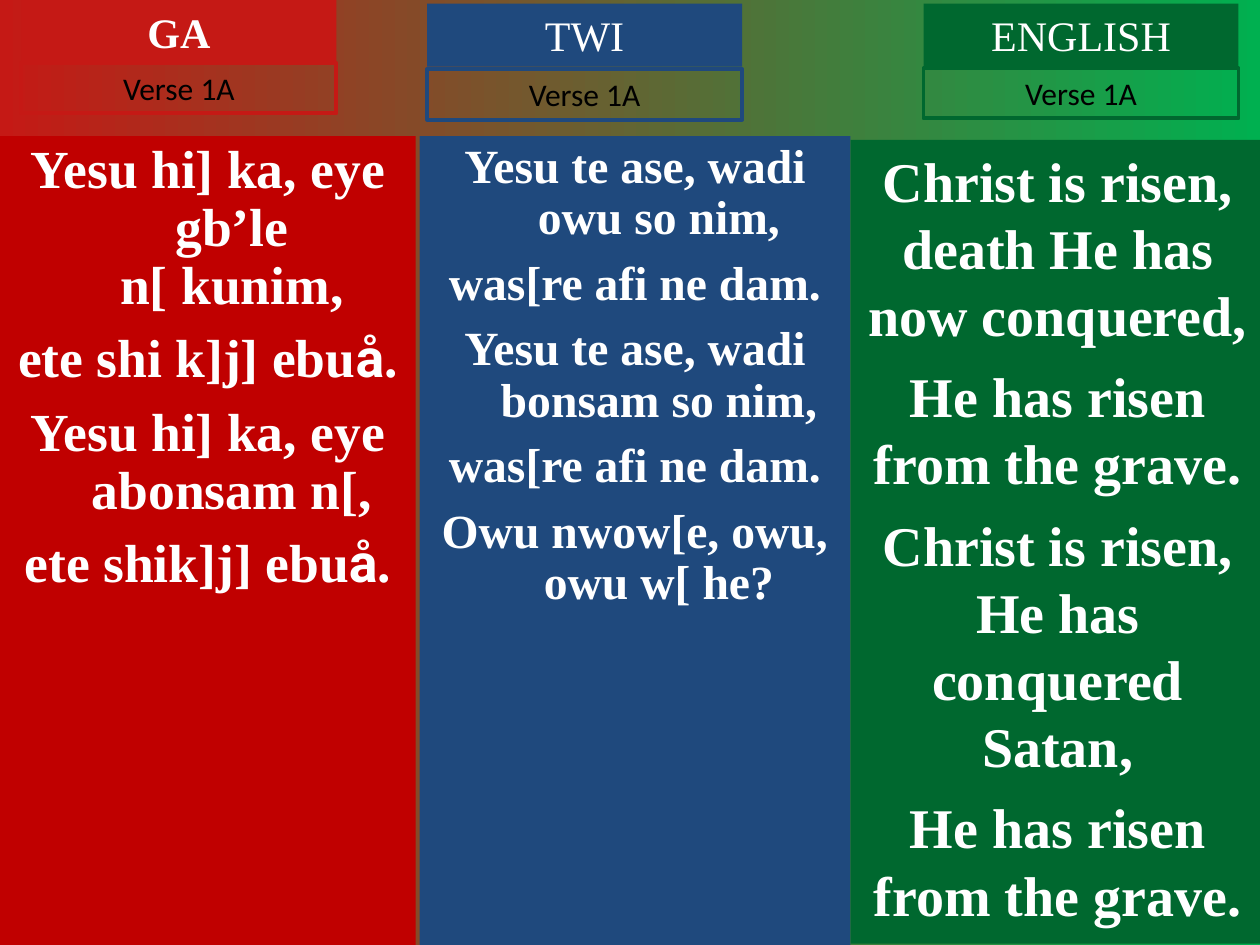
from dataclasses import dataclass

from pptx import Presentation
from pptx.dml.color import RGBColor
from pptx.enum.shapes import MSO_SHAPE
from pptx.enum.text import MSO_ANCHOR, MSO_AUTO_SIZE, PP_ALIGN
from pptx.util import Inches, Pt


@dataclass(frozen=True)
class Theme:
    bright_red: str = "C51915"
    bright_green: str = "00B050"
    red: str = "C00000"
    blue: str = "1F497D"
    green: str = "00682F"
    white: str = "FFFFFF"
    black: str = "000000"
    serif: str = "Times New Roman"
    sans: str = "Calibri"
    accent: str = "Roboto"
    heading_size: float = 24
    verse_size: float = 18
    ga_size: float = 30.6
    twi_size: float = 27.2
    english_size: float = 32


THEME = Theme()
LABEL_WIDTH = 2.5

GA_LINES = [
    ["Yesu hi] ka, eye gb’le n[ kunim,"],
    ["ete shi k]j] ebu", "å", "."],
    ["Yesu hi] ka, eye abonsam n[,"],
    ["ete shik]j] ebu", "å", "."],
]
TWI_LINES = [
    ["Yesu te ase, wadi owu so nim,"],
    ["was[re afi ne dam."],
    ["Yesu te ase, wadi bonsam so nim,"],
    ["was[re afi ne dam."],
    ["Owu nwow[e, owu, owu w[ he?"],
]
ENGLISH_LINES = [
    ["Christ is risen, death He has now conquered,"],
    ["He has risen from the grave."],
    ["Christ is risen, He has conquered Satan,"],
    ["He has risen from the grave."],
]


def color(value):
    return RGBColor.from_string(value)


def set_background(slide):
    fill = slide.background.fill
    fill.gradient()
    fill.gradient_angle = 0
    for stop, value, position in zip(
        fill.gradient_stops, (THEME.bright_red, THEME.bright_green), (0, 1)
    ):
        stop.color.rgb = color(value)
        stop.position = position


def add_box(slide, left, top, width, height, fill=None, line=None):
    shape = slide.shapes.add_shape(
        MSO_SHAPE.RECTANGLE, Inches(left), Inches(top), Inches(width), Inches(height)
    )
    shape.shadow.inherit = False
    if fill:
        shape.fill.solid()
        shape.fill.fore_color.rgb = color(fill)
    else:
        shape.fill.background()
    if line:
        shape.line.color.rgb = color(line)
        shape.line.width = Pt(2.25)
    else:
        shape.line.fill.background()
    shape.text_frame.word_wrap = True
    shape.text_frame.vertical_anchor = MSO_ANCHOR.TOP
    return shape


def add_run(paragraph, text, size, font_name, text_color, bold=False):
    run = paragraph.add_run()
    run.text = text
    run.font.size = Pt(size)
    run.font.name = font_name
    run.font.color.rgb = color(text_color)
    run.font.bold = bold


def add_label(slide, left, top, height, text, size, font_name, text_color,
              bold=False, fill=None, line=None):
    shape = add_box(slide, left, top, LABEL_WIDTH, height, fill, line)
    shape.text_frame.auto_size = MSO_AUTO_SIZE.SHAPE_TO_FIT_TEXT
    paragraph = shape.text_frame.paragraphs[0]
    paragraph.alignment = PP_ALIGN.CENTER
    add_run(paragraph, text, size, font_name, text_color, bold)


def add_header(slide, left, top, verse_top, language, label_color, bold=False):
    """Add a filled language name with an outlined verse label under it."""
    add_label(slide, left, top, 0.5, language, THEME.heading_size, THEME.serif,
              THEME.white, bold, fill=label_color)
    add_label(slide, left, verse_top, 0.4, "Verse 1A", THEME.verse_size, THEME.sans,
              THEME.black, line=label_color)


def add_lyrics(slide, bounds, fill, lines, size, space_before, hanging=False):
    frame = add_box(slide, *bounds, fill=fill).text_frame
    for index, pieces in enumerate(lines):
        paragraph = frame.add_paragraph() if index else frame.paragraphs[0]
        paragraph.alignment = PP_ALIGN.CENTER
        if index:
            paragraph.space_before = Pt(space_before)
        if hanging:
            paragraph.line_spacing = 0.9
            properties = paragraph._p.get_or_add_pPr()
            properties.set("marL", str(Inches(0.38)))
            properties.set("indent", str(Inches(-0.38)))
        for piece in pieces:
            font_name = THEME.accent if piece == "å" else THEME.serif
            add_run(paragraph, piece, size, font_name, THEME.white, bold=True)


def main():
    presentation = Presentation()
    presentation.slide_width = Inches(10)
    presentation.slide_height = Inches(7.5)
    slide = presentation.slides.add_slide(presentation.slide_layouts[6])
    set_background(slide)

    add_lyrics(slide, (0, 1.08, 3.3, 6.42), THEME.red, GA_LINES,
               THEME.ga_size, 9, hanging=True)
    add_lyrics(slide, (3.33, 1.08, 3.42, 6.42), THEME.blue, TWI_LINES,
               THEME.twi_size, 8, hanging=True)
    add_lyrics(slide, (6.75, 1.11, 3.29, 6.38), THEME.green, ENGLISH_LINES,
               THEME.english_size, 8)

    add_header(slide, 0.17, 0, 0.5, "GA", THEME.bright_red, bold=True)
    add_header(slide, 3.39, 0.03, 0.55, "TWI", THEME.blue)
    add_header(slide, 7.33, 0.03, 0.54, "ENGLISH", THEME.green)

    presentation.save("out.pptx")


if __name__ == "__main__":
    main()
